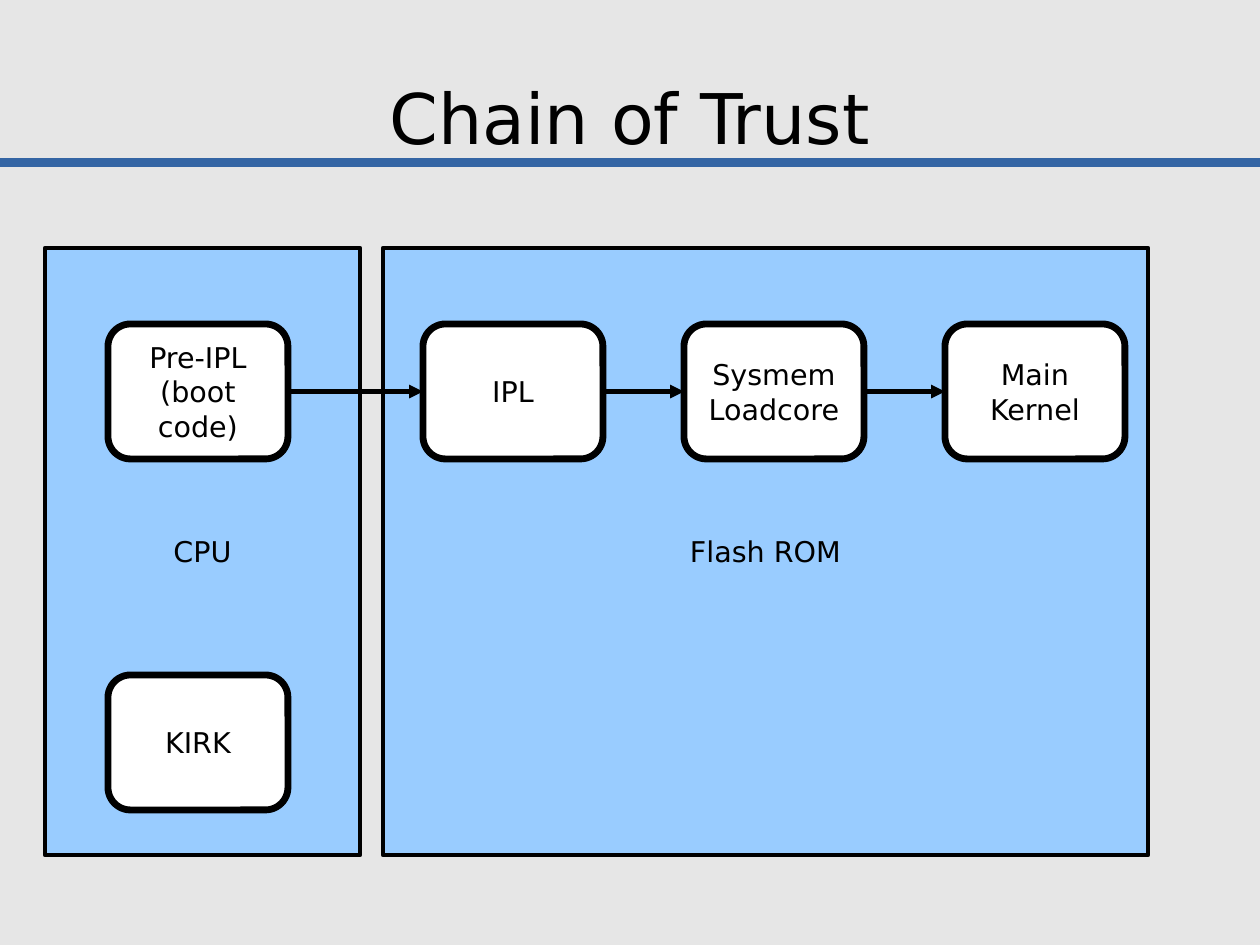
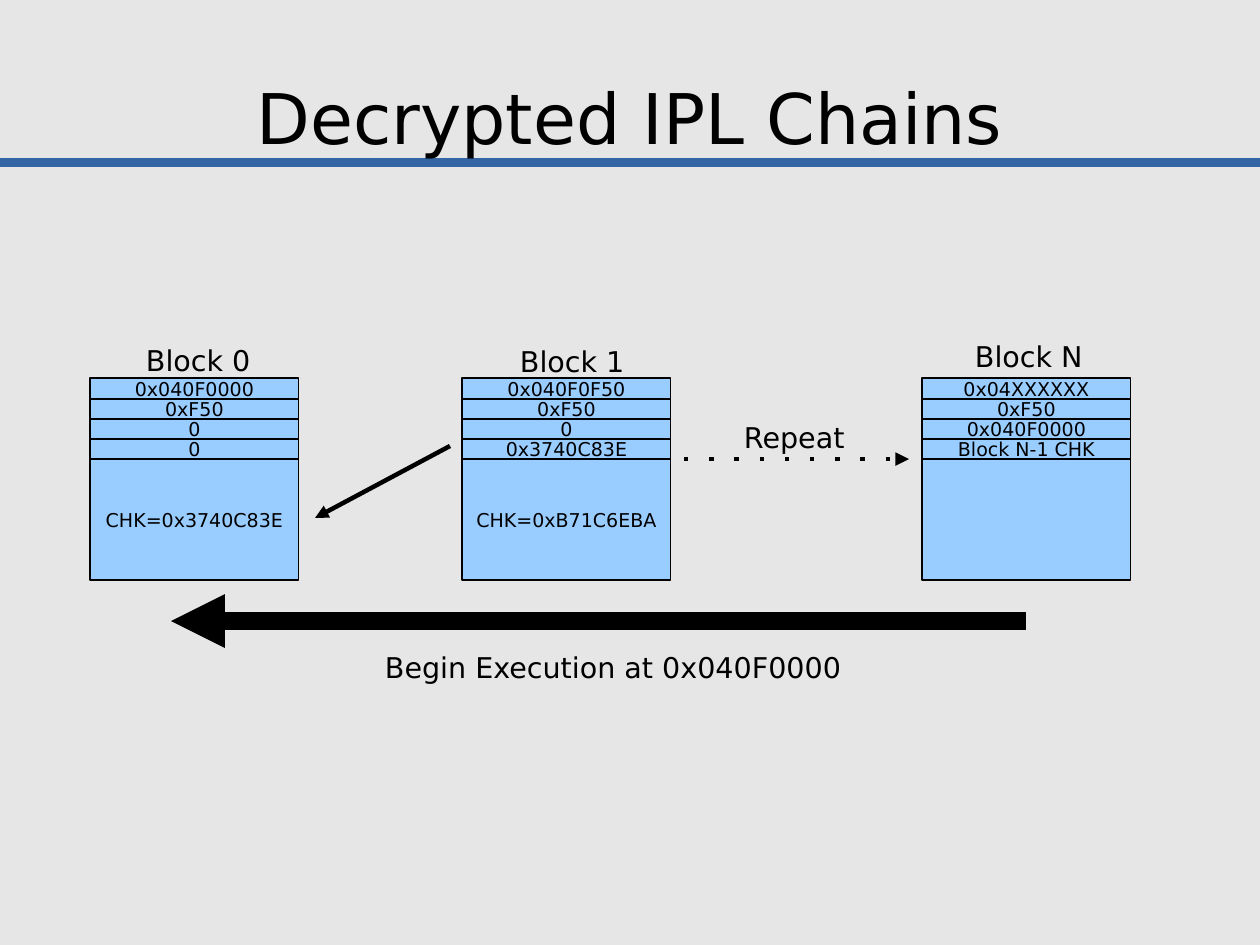
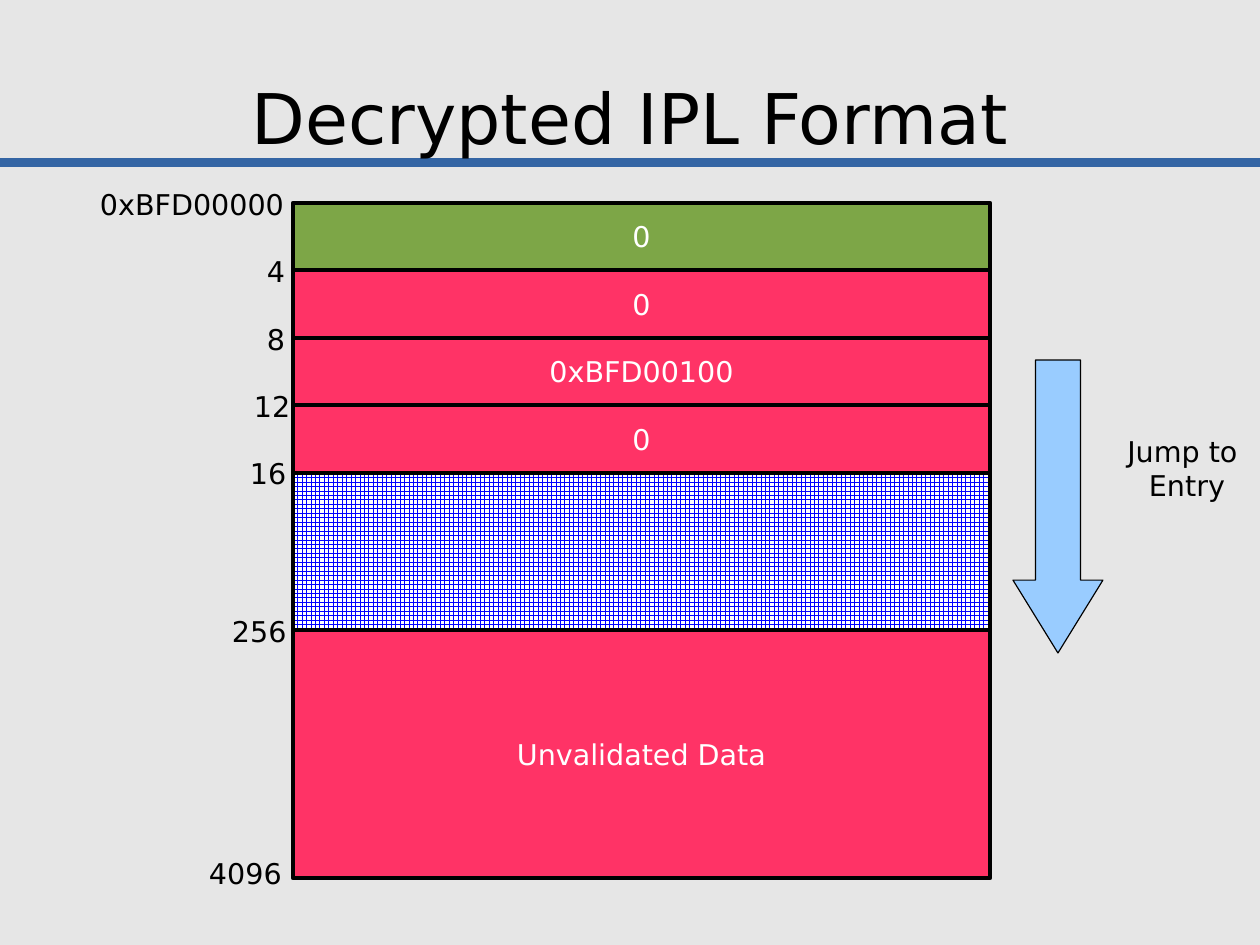
from pptx import Presentation
from pptx.dml.color import RGBColor as Rgb
from pptx.enum.dml import MSO_PATTERN_TYPE as Pattern
from pptx.enum.shapes import MSO_CONNECTOR as Link, MSO_SHAPE as Kind
from pptx.enum.text import MSO_ANCHOR as Anchor, PP_ALIGN as Align
from pptx.oxml.ns import qn
from pptx.util import Pt
from lxml.etree import SubElement as Sub

PX = 8000  # EMU in one px
WIDE, HIGH = 1260, 945
FONT = "DejaVu Sans"
HUES = {
    "back": "E6E6E6", "band": "3465A4", "ink": "000000", "paper": "FFFFFF",
    "sky": "99CCFF", "green": "7DA647", "red": "FF3366", "grid": "0000FF",
}
LEFT, RIGHT = 1, 3  # connection sites of a box


def hue(name):
    return Rgb.from_string(HUES[name])


def px(*vals):
    return [val * PX for val in vals]


def put(item, **vals):
    for name, val in vals.items():
        setattr(item, name, val)


class Deck:
    """Shared style, and the slide being filled."""

    def __init__(self):
        self.file = Presentation()
        put(self.file, slide_width=WIDE * PX, slide_height=HIGH * PX)
        self.master = self.file.slide_master
        fill = self.master.background.fill
        fill.solid()
        fill.fore_color.rgb = hue("back")

    def start(self, title):
        self.slide = self.file.slides.add_slide(self.file.slide_layouts[5])
        self.shapes = self.slide.shapes
        head = self.shapes.title
        left, top, width, height = px(63, 38, 1134, 158)
        put(head, left=left, top=top, width=width, height=height)
        self.words(head, title, size=44, pad=(0, 0))

    def band(self):
        """Put the line under the titles on the master."""
        part = self.link((0, 162), (WIDE, 162), 5.67, "band", head=False)._element
        part.nvCxnSpPr.cNvPr.set("id", "99")
        self.master.shapes._spTree.insert(2, part)

    def words(self, shape, text, size=18, color="ink", align=Align.CENTER,
              anchor=Anchor.MIDDLE, wrap=True, pad=(11, 6)):
        frame = shape.text_frame
        side, edge = px(*pad)
        put(frame, text=text, word_wrap=wrap, vertical_anchor=anchor,
            margin_left=side, margin_right=side,
            margin_top=edge, margin_bottom=edge)
        for para in frame.paragraphs:
            para.alignment = align
            for run in para.runs:
                put(run.font, name=FONT, size=Pt(size))
                run.font.color.rgb = hue(color)

    def box(self, area, fill, line, text="", kind=Kind.RECTANGLE, **style):
        shape = self.shapes.add_shape(kind, *px(*area))
        shape.shadow.inherit = False
        if fill == "grid":
            shape.fill.patterned()
            shape.fill.pattern = Pattern.LARGE_GRID
            shape.fill.back_color.rgb = hue("paper")
        else:
            shape.fill.solid()
        shape.fill.fore_color.rgb = hue(fill)
        shape.line.color.rgb = hue("ink")
        shape.line.width = Pt(line)
        if text:
            self.words(shape, text, **style)
        return shape

    def stack(self, left, top, width, rows, line, **style):
        """Pile up boxes from rows of height, fill and text."""
        for height, fill, text in rows:
            self.box((left, top, width, height), fill, line, text, **style)
            top += height

    def label(self, text, left, top, width, height=45, **style):
        style = {"align": Align.LEFT, "wrap": False, "anchor": Anchor.TOP} | style
        shape = self.shapes.add_textbox(*px(left, top, width, height))
        self.words(shape, text, **style)

    def link(self, start, end, width, color="ink", head=True, dots=False):
        wire = self.shapes.add_connector(Link.STRAIGHT, *px(*start, *end))
        wire.line.color.rgb = hue(color)
        wire.line.width = Pt(width)
        pen = wire._element.spPr.find(qn("a:ln"))
        if dots:
            Sub(Sub(pen, qn("a:custDash")), qn("a:ds"), d="100000", sp="460000")
        if head:
            Sub(pen, qn("a:tailEnd"), type="triangle")
        Sub(wire._element.spPr, qn("a:effectLst"))
        return wire


def trust(deck):
    deck.start("Chain of Trust")
    deck.band()

    # Zones
    for left, width, name in ((383, 765, "Flash ROM"), (45, 315, "CPU")):
        deck.box((left, 248, width, 607), "sky", 2.89, name)

    # Stages
    stages = [
        deck.box((left, top, 180, 135), "paper", 4.31, text,
                 Kind.ROUNDED_RECTANGLE)
        for left, top, text in (
            (108, 324, "Pre-IPL\n(boot code)"), (423, 324, "IPL"),
            (684, 324, "Sysmem\nLoadcore"), (945, 324, "Main Kernel"),
            (108, 675, "KIRK"))
    ]

    # Arrows along the top row
    chain = stages[:4]
    for one, two in zip(chain, chain[1:]):
        wire = deck.link((0, 0), (0, 0), 2.89)
        wire.begin_connect(one, RIGHT)
        wire.end_connect(two, LEFT)


def chains(deck):
    deck.start("Decrypted IPL Chains")

    # Blocks: left edge, name with its place, then the fields
    blocks = (
        (90, ("Block 0", 135, 337, 127),
         ("0x040F0000", "0xF50", "0", "0", "CHK=0x3740C83E")),
        (462, ("Block 1", 509, 338, 127),
         ("0x040F0F50", "0xF50", "0", "0x3740C83E", "CHK=0xB71C6EBA")),
        (922, ("Block N", 964, 333, 130),
         ("0x04XXXXXX", "0xF50", "0x040F0000", "Block N-1 CHK", "")),
    )
    sizes = (21, 20, 20, 20, 121)
    for left, name, texts in blocks:
        rows = [(size, "sky", text) for size, text in zip(sizes, texts)]
        deck.stack(left, 378, 209, rows, 0, size=12)
        deck.label(*name)

    # Arrows and their captions
    deck.link((450, 446), (315, 518), 2.83)
    deck.link((1026, 621), (171, 621), 11.34)
    deck.label("Begin Execution at 0x040F0000", 374, 644, 479)
    deck.link((684, 459), (909, 459), 2.83, dots=True)
    deck.label("Repeat", 733, 414, 123)


def layout(deck):
    deck.start("Decrypted IPL Format")

    # Memory map
    rows = (
        (67, "green", "0"), (68, "red", "0"), (67, "red", "0xBFD00100"),
        (68, "red", "0"), (157, "grid", ""), (248, "red", "Unvalidated Data"),
    )
    deck.stack(293, 203, 697, rows, 2.83, color="paper")

    # Offsets
    marks = (
        ("0xBFD00000", 89, 181, 207), ("4", 256, 248, 41),
        ("8", 256, 316, 41), ("12", 243, 383, 59), ("16", 239, 450, 59),
        ("256", 221, 608, 77), ("4096", 198, 850, 95),
    )
    for mark in marks:
        deck.label(*mark)

    # Jump
    arrow = deck.box((1013, 360, 90, 293), "sky", 0, kind=Kind.DOWN_ARROW)
    arrow.adjustments[0], arrow.adjustments[1] = 0.5, 0.81
    deck.label("Jump to \nEntry", 1114, 428, 146, 89,
               align=Align.CENTER, wrap=True)


def main():
    deck = Deck()
    for build in (trust, chains, layout):
        build(deck)
    deck.file.save("out.pptx")


if __name__ == "__main__":
    main()
